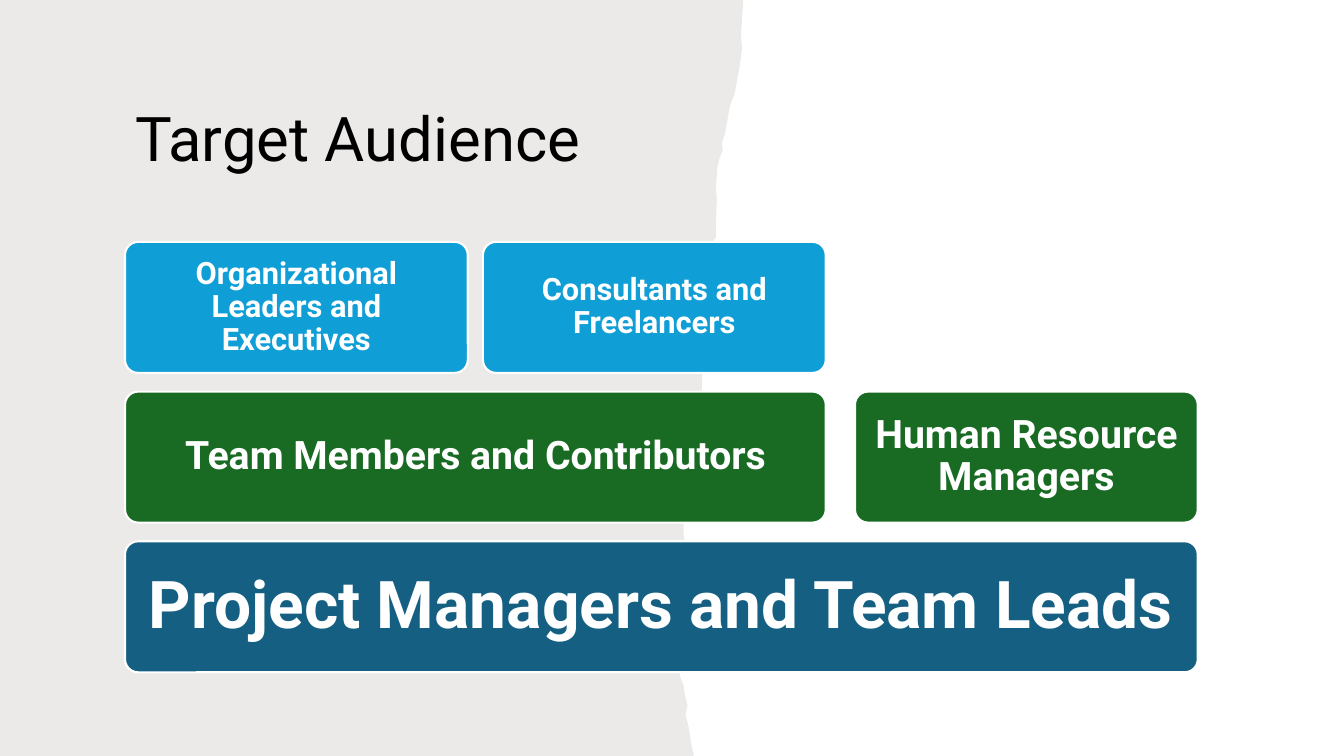
from dataclasses import dataclass

from lxml import etree
from pptx import Presentation
from pptx.dml.color import RGBColor
from pptx.enum.shapes import MSO_SHAPE
from pptx.enum.text import MSO_ANCHOR, PP_ALIGN
from pptx.oxml.ns import qn
from pptx.util import Inches, Pt

ROUND = MSO_SHAPE.ROUNDED_RECTANGLE
MIDDLE = MSO_ANCHOR.MIDDLE
LEFT, CENTER = PP_ALIGN.LEFT, PP_ALIGN.CENTER
FONT = "Roboto"
COLORS = {
    "paper": "82766A",
    "text": "000000",
    "white": "FFFFFF",
    "sky": "0F9ED5",
    "green": "196B24",
    "navy": "156082",
}
WIDTH, HEIGHT = 13.33, 7.5
MARGIN = 1.24
TOP, BOTTOM, TALL = 2.4, 5.37, 1.3
STEP = (BOTTOM - TOP) / 2

# Torn right edge of the paper, from top to bottom
TEAR = [
    (7.37, 0), (7.37, 0.03), (7.35, 0.34), (7.36, 0.49), (7.33, 0.7),
    (7.32, 0.74), (7.29, 0.92), (7.24, 1.05), (7.21, 1.22), (7.2, 1.27),
    (7.19, 1.33), (7.16, 1.42), (7.17, 1.49), (7.14, 1.56), (7.11, 1.68),
    (7.11, 1.75), (7.1, 1.86), (7.11, 1.98), (7.1, 2.21), (7.1, 2.36),
    (7.08, 2.38), (7.08, 2.54), (7.07, 2.68), (7.06, 2.75), (7.08, 2.82),
    (7.06, 2.9), (7.07, 2.92), (7.05, 2.97), (7.06, 3.02), (7.03, 3.34),
    (6.97, 3.65), (6.96, 3.86), (6.97, 3.92), (6.93, 4.01), (6.94, 4.07),
    (6.91, 4.1), (6.84, 4.29), (6.81, 4.36), (6.8, 4.53), (6.78, 4.73),
    (6.77, 4.89), (6.75, 4.94), (6.75, 4.98), (6.77, 5.07), (6.78, 5.13),
    (6.78, 5.29), (6.8, 5.44), (6.79, 5.46), (6.82, 5.55), (6.81, 5.61),
    (6.81, 5.76), (6.78, 5.9), (6.76, 6.06), (6.75, 6.33), (6.72, 6.42),
    (6.73, 6.46), (6.72, 6.48), (6.73, 6.58), (6.73, 6.64), (6.75, 6.73),
    (6.78, 6.8), (6.79, 6.88), (6.82, 7), (6.8, 7.09), (6.83, 7.21),
    (6.86, 7.4), (6.88, 7.48), (6.88, 7.5),
]


@dataclass
class Block:
    label: str
    row: int
    left: float
    width: float
    color: str
    size: int
    inset: float


BLOCKS = [
    Block("Project Managers and Team Leads", 2, MARGIN, 10.64, "navy", 47, 0.18),
    Block("Team Members and Contributors", 1, MARGIN, 6.95, "green", 28, 0.12),
    Block("Organizational Leaders and Executives", 0, MARGIN, 3.4, "sky", 22, 0.09),
    Block("Consultants and Freelancers", 0, 4.79, 3.4, "sky", 22, 0.09),
    Block("Human Resource Managers", 1, 8.48, 3.4, "green", 28, 0.12),
]


def rgb(name: str) -> RGBColor:
    return RGBColor.from_string(COLORS[name])


def write(shape, text: str, size: int, color: str, align, bold: bool) -> None:
    frame = shape.text_frame
    frame.text = text
    frame.word_wrap = True
    frame.vertical_anchor = MIDDLE
    para = frame.paragraphs[0]
    para.alignment = align
    para.line_spacing = 0.9
    font = para.runs[0].font
    font.name, font.size, font.bold = FONT, Pt(size), bold
    font.color.rgb = rgb(color)


def add_title(slide):
    title = slide.shapes.title
    title.left, title.top = Inches(MARGIN), Inches(0.67)
    title.width, title.height = Inches(5.23), Inches(1.46)
    write(title, "Target Audience", 44, "text", LEFT, False)
    return title


def add_paper(slide, title) -> None:
    """Draw the translucent torn sheet behind the title."""
    points = [(Inches(x), Inches(y)) for x, y in TEAR + [(0, HEIGHT)]]
    form = slide.shapes.build_freeform(0, 0)
    form.add_line_segments(points, close=True)
    paper = form.convert_to_shape()
    paper.shadow.inherit = False
    paper.fill.solid()
    paper.fill.fore_color.rgb = rgb("paper")
    paper.line.fill.background()
    tint = paper.element.spPr.find(qn("a:solidFill"))[0]
    etree.SubElement(tint, qn("a:alpha")).set("val", "15000")
    title.element.addprevious(paper.element)


def add_block(slide, block: Block) -> None:
    shape = slide.shapes.add_shape(
        ROUND, Inches(block.left), Inches(TOP + block.row * STEP),
        Inches(block.width), Inches(TALL))
    shape.adjustments[0] = 0.1
    shape.shadow.inherit = False
    shape.fill.solid()
    shape.fill.fore_color.rgb = rgb(block.color)
    shape.line.color.rgb = rgb("white")
    shape.line.width = Pt(1.5)
    frame = shape.text_frame
    frame.margin_left = frame.margin_right = Inches(block.inset)
    frame.margin_top = frame.margin_bottom = Inches(block.inset)
    write(shape, block.label, block.size, "white", CENTER, True)


def main() -> None:
    deck = Presentation()
    deck.slide_width, deck.slide_height = Inches(WIDTH), Inches(HEIGHT)
    slide = deck.slides.add_slide(deck.slide_layouts[5])
    title = add_title(slide)
    add_paper(slide, title)
    for block in BLOCKS:
        add_block(slide, block)
    deck.save("out.pptx")


if __name__ == "__main__":
    main()
